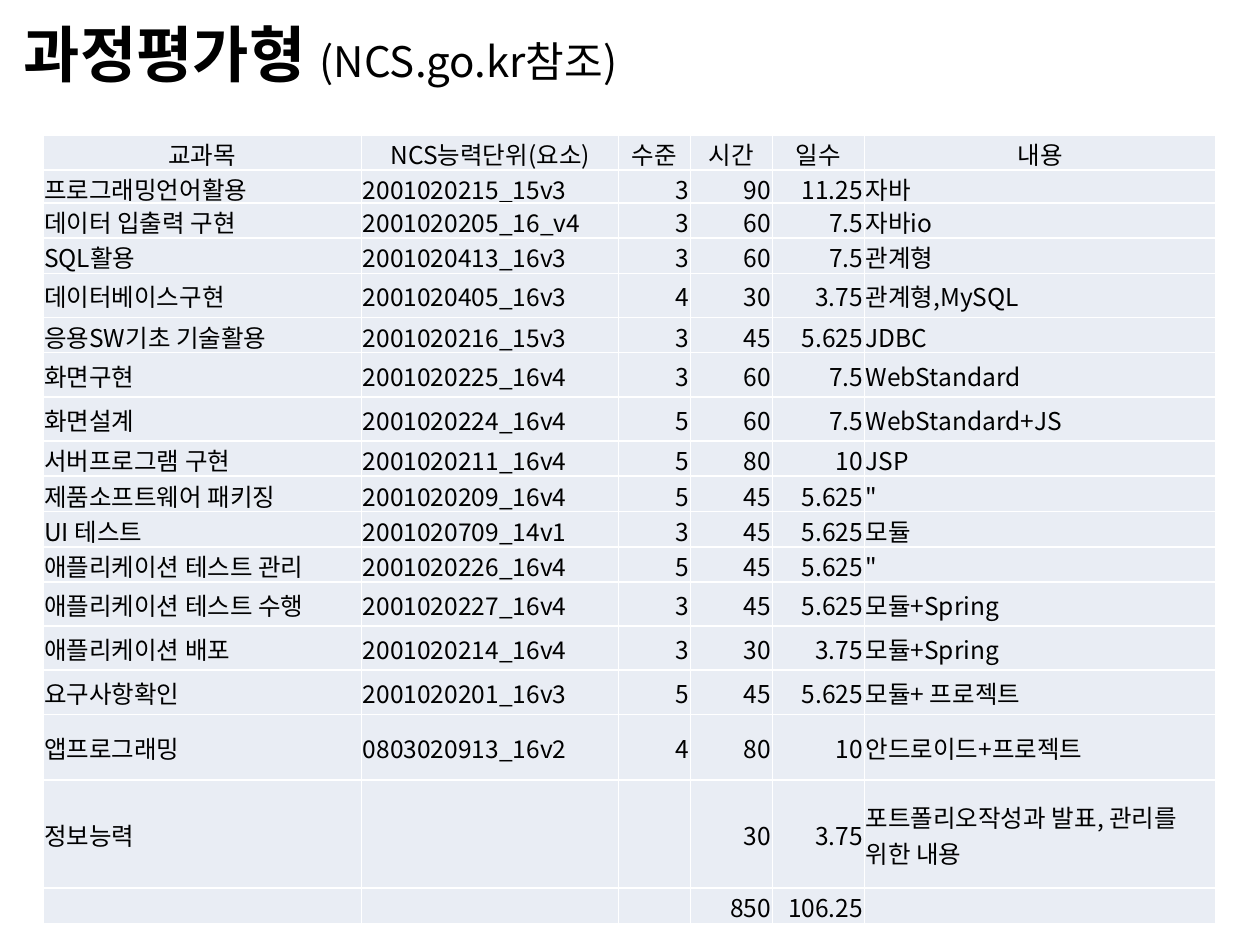
from lxml.etree import SubElement
from pptx import Presentation
from pptx.dml.color import RGBColor
from pptx.enum.text import MSO_ANCHOR as Anchor, PP_ALIGN as Align
from pptx.oxml.ns import qn
from pptx.util import Inches, Pt

FONT = "Noto Sans CJK KR"
BLACK = RGBColor(0x00, 0x00, 0x00)
WHITE = RGBColor(0xFF, 0xFF, 0xFF)
PALE_BLUE = RGBColor(0xE9, 0xED, 0xF4)
TABLE_SIZE = 14

HEADERS = ["교과목", "NCS능력단위(요소)", "수준", "시간", "일수", "내용"]
COLUMN_ALIGN = [Align.LEFT, Align.LEFT, Align.RIGHT, Align.RIGHT, Align.RIGHT, Align.LEFT]
COLUMN_WIDTHS = [2.53, 2.04, 0.57, 0.65, 0.73, 2.79]
ROW_HEIGHT = 0.28
SPECIAL_HEIGHTS = {1: 0.26, **dict.fromkeys([4, 6, 7, 12, 13, 14], 0.35), 15: 0.52, 16: 0.86}

COURSES = [
    ["프로그래밍언어활용", "2001020215_15v3", "3", "90", "11.25", "자바"],
    ["데이터 입출력 구현", "2001020205_16_v4", "3", "60", "7.5", "자바io"],
    ["SQL활용", "2001020413_16v3", "3", "60", "7.5", "관계형"],
    ["데이터베이스구현", "2001020405_16v3", "4", "30", "3.75", "관계형,MySQL"],
    ["응용SW기초 기술활용", "2001020216_15v3", "3", "45", "5.625", "JDBC"],
    ["화면구현", "2001020225_16v4", "3", "60", "7.5", "WebStandard"],
    ["화면설계", "2001020224_16v4", "5", "60", "7.5", "WebStandard+JS"],
    ["서버프로그램 구현", "2001020211_16v4", "5", "80", "10", "JSP"],
    ["제품소프트웨어 패키징", "2001020209_16v4", "5", "45", "5.625", '"'],
    ["UI 테스트", "2001020709_14v1", "3", "45", "5.625", "모듈"],
    ["애플리케이션 테스트 관리", "2001020226_16v4", "5", "45", "5.625", '"'],
    ["애플리케이션 테스트 수행", "2001020227_16v4", "3", "45", "5.625", "모듈+Spring"],
    ["애플리케이션 배포", "2001020214_16v4", "3", "30", "3.75", "모듈+Spring"],
    ["요구사항확인", "2001020201_16v3", "5", "45", "5.625", "모듈+ 프로젝트"],
    ["앱프로그래밍", "0803020913_16v2", "4", "80", "10", "안드로이드+프로젝트"],
    ["정보능력", "", "", "30", "3.75", "포트폴리오작성과 발표, 관리를 위한 내용"],
    ["", "", "", "850", "106.25", ""],
]


class SlideBuilder:
    def __init__(self, slide, font, color):
        self.slide = slide
        self.font = font
        self.color = color

    def span(self, para, text, size, bold=False):
        run = para.add_run()
        run.text = text
        run.font.size = Pt(size)
        run.font.bold = bold
        run.font.name = self.font
        run.font.color.rgb = self.color
        SubElement(run.font._element, qn("a:ea"), typeface=self.font)

    def text(self, left, top, width, height, spans):
        box = self.slide.shapes.add_textbox(
            Inches(left), Inches(top), Inches(width), Inches(height))
        frame = box.text_frame
        frame.word_wrap = True
        frame.vertical_anchor = Anchor.MIDDLE
        for text, size, bold in spans:
            self.span(frame.paragraphs[0], text, size, bold)

    def borders(self, cell, color, width):
        properties = cell._tc.get_or_add_tcPr()
        for side in ("lnL", "lnR", "lnT", "lnB"):
            line = SubElement(properties, qn(f"a:{side}"), w=str(Pt(width)))
            fill = SubElement(line, qn("a:solidFill"))
            SubElement(fill, qn("a:srgbClr"), val=str(color))

    def cell(self, cell, text, align):
        self.borders(cell, WHITE, 1)
        cell.fill.solid()
        cell.fill.fore_color.rgb = PALE_BLUE
        cell.vertical_anchor = Anchor.MIDDLE
        cell.margin_left = cell.margin_right = cell.margin_top = Inches(0.01)
        cell.margin_bottom = 0
        para = cell.text_frame.paragraphs[0]
        para.alignment = align
        if text:
            self.span(para, text, TABLE_SIZE)
        else:
            # Keeps an empty cell from stretching its row
            SubElement(para._p, qn("a:endParaRPr"), sz=str(TABLE_SIZE * 100))

    def table(self, left, top, widths, heights, rows, aligns):
        table = self.slide.shapes.add_table(
            len(rows), len(widths), Inches(left), Inches(top),
            Inches(sum(widths)), Inches(sum(heights))).table
        table.first_row = table.horz_banding = False
        for column, width in zip(table.columns, widths):
            column.width = Inches(width)
        for row, height in zip(table.rows, heights):
            row.height = Inches(height)
        for r, texts in enumerate(rows):
            for c, text in enumerate(texts):
                self.cell(table.cell(r, c), text, aligns[c] if r else Align.CENTER)


def main():
    deck = Presentation()
    deck.slide_width, deck.slide_height = Inches(10), Inches(7.5)
    page = SlideBuilder(deck.slides.add_slide(deck.slide_layouts[6]), FONT, BLACK)

    # Title
    page.text(0.09, 0, 9, 0.84, [("과정평가형 ", 35, True), ("(NCS.go.kr참조)", 24, False)])

    # Course table
    rows = [HEADERS] + COURSES
    heights = [SPECIAL_HEIGHTS.get(r, ROW_HEIGHT) for r in range(len(rows))]
    page.table(0.34, 1.07, COLUMN_WIDTHS, heights, rows, COLUMN_ALIGN)

    deck.save("out.pptx")


if __name__ == "__main__":
    main()
